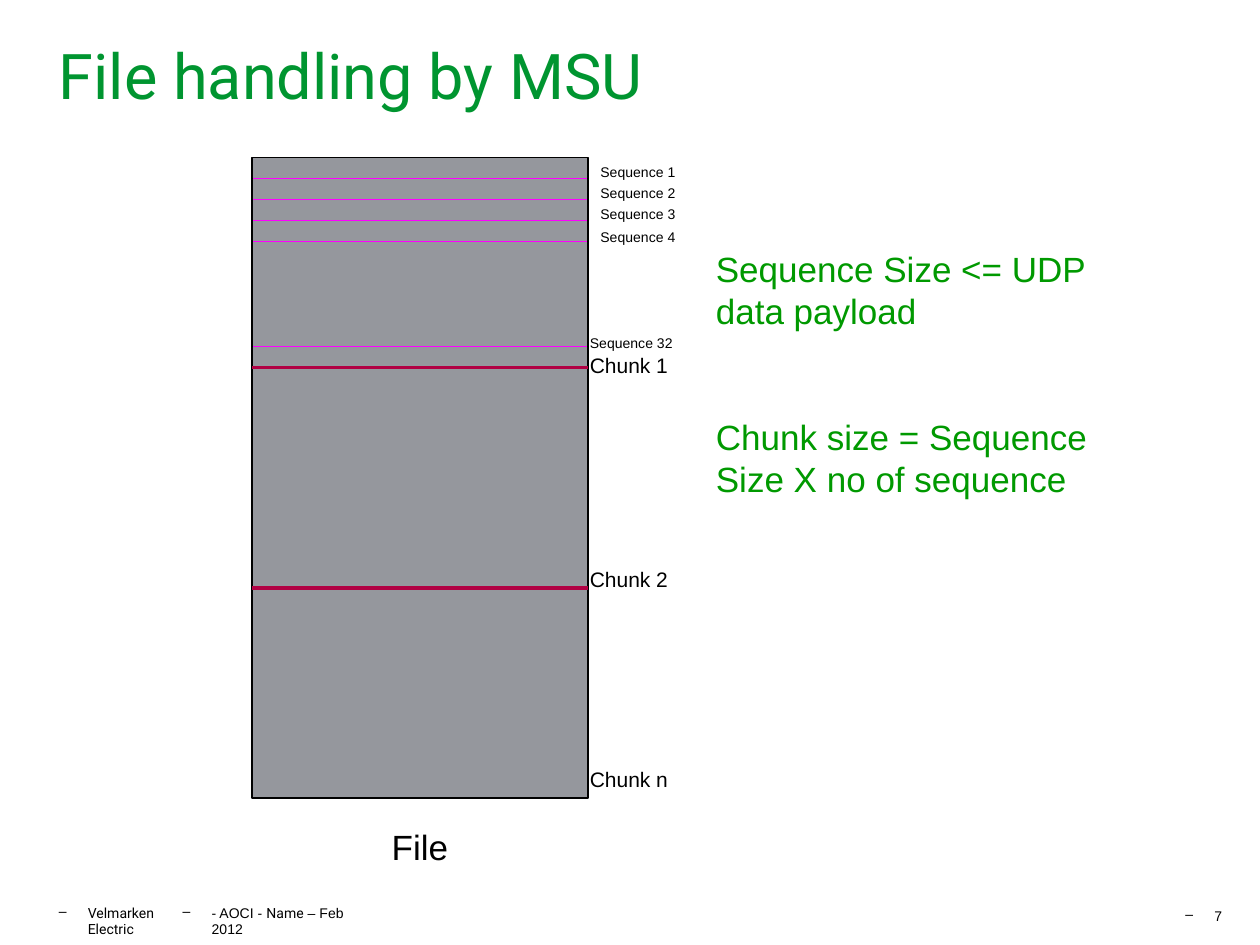
from dataclasses import dataclass
from typing import Any, Optional

import pptx
import pptx.dml.color
import pptx.enum.shapes
import pptx.enum.text
import pptx.oxml
import pptx.oxml.ns
import pptx.util
from lxml import etree

ALIGN = pptx.enum.text.PP_ALIGN
ANCHOR = pptx.enum.text.MSO_ANCHOR
CELL = 1 / 6  # inches: the slide is a grid of 60 columns by 45 rows
COLUMNS, ROWS = 60, 45


@dataclass(frozen=True)
class Theme:
    title: str = "009530"
    note: str = "009900"
    ink: str = "000000"
    file_fill: str = "95979D"
    sequence: str = "FF00FF"
    chunk: str = "B10043"
    heading_font: str = "Roboto"
    body_font: str = "Arial"
    title_size: float = 36
    note_size: float = 20
    chunk_size: float = 12
    small_size: float = 8
    frame_width: float = 0.75
    sequence_width: float = 1
    chunk_width: float = 2.25


@dataclass(frozen=True)
class Area:
    column: float
    row: float
    columns: float
    rows: float


@dataclass(frozen=True)
class Label:
    text: str
    area: Area
    size: float


@dataclass(frozen=True)
class Footer:
    runs: tuple[tuple[str, str], ...]
    area: Area


THEME = Theme()
FILE = Area(12, 7.5, 16, 30.5)
FILE_RIGHT = FILE.column + FILE.columns
FILE_BOTTOM = FILE.row + FILE.rows
SEQUENCE_ROWS = (8.5, 9.5, 10.5, 11.5, 16.5)
CHUNK_ROWS = (17.5, 28)
FRAME_ROWS = (FILE.row, 28.5, 33, FILE_BOTTOM)

LABELS = [
    Label(f"Sequence {number}", Area(FILE_RIGHT, row, 5, 1.4), THEME.small_size)
    for number, row in enumerate((7.5, 8.5, 9.5, 10.6), start=1)
] + [
    Label("Sequence 32", Area(27.5, 15.65, 5.5, 1.4), THEME.small_size),
    Label("Chunk 1", Area(27.5, 16.5, 5.5, 1.8), THEME.chunk_size),
    Label("Chunk 2", Area(27.5, 26.7, 9.5, 1.8), THEME.chunk_size),
    Label("Chunk n", Area(27.5, 36.2, 9.5, 1.8), THEME.chunk_size),
]

FOOTERS = [
    Footer((("Velmarken Electric", THEME.heading_font),), Area(2.8, 43.15, 5.95, 0.72)),
    Footer((("- AOCI - ", THEME.body_font), ("Name", THEME.heading_font),
            (" – Feb 2012", THEME.body_font)), Area(8.7, 43.15, 8.45, 0.72)),
    Footer((("7", THEME.body_font),), Area(56.45, 43.3, 1.9, 0.5)),
]


def grid(cells: float) -> int:
    return pptx.util.Inches(cells * CELL)


def rgb(color: str) -> pptx.dml.color.RGBColor:
    return pptx.dml.color.RGBColor.from_string(color)


def place(shape: Any, area: Area) -> None:
    shape.left, shape.top = grid(area.column), grid(area.row)
    shape.width, shape.height = grid(area.columns), grid(area.rows)


def add_dash(paragraph: Any) -> None:
    """Give a paragraph a hanging dash."""
    properties = paragraph._p.get_or_add_pPr()
    indent = pptx.util.Inches(0.23)
    properties.set("marL", str(indent))
    properties.set("indent", str(-indent))
    bullet = etree.SubElement(properties, pptx.oxml.ns.qn("a:buChar"))
    bullet.set("char", "–")


def write(shape: Any, paragraphs: list, *, size: float, color: str = THEME.ink,
          font: str = THEME.body_font, align: Any = ALIGN.LEFT, anchor: Any = ANCHOR.TOP,
          margins: tuple[float, float] = (0.1, 0.05), gap: float = 0,
          line_spacing: Optional[float] = None, dash: bool = False) -> None:
    """Fill a shape; each paragraph is a string or a series of (text, font) runs."""
    frame = shape.text_frame
    frame.word_wrap = True
    frame.auto_size = pptx.enum.text.MSO_AUTO_SIZE.NONE
    frame.vertical_anchor = anchor
    frame.margin_left = frame.margin_right = pptx.util.Inches(margins[0])
    frame.margin_top = frame.margin_bottom = pptx.util.Inches(margins[1])
    for index, content in enumerate(paragraphs):
        paragraph = frame.add_paragraph() if index else frame.paragraphs[0]
        if dash:
            add_dash(paragraph)
        paragraph.alignment = align
        if index:
            paragraph.space_before = pptx.util.Pt(gap)
        if line_spacing:
            paragraph.line_spacing = line_spacing
        runs = ((content, font),) if isinstance(content, str) else content
        for text, run_font in runs:
            run = paragraph.add_run()
            run.text = text
            run.font.name = run_font
            run.font.size = pptx.util.Pt(size)
            run.font.color.rgb = rgb(color)


def add_text(shapes: Any, area: Area, paragraphs: list, **style: Any) -> None:
    box = shapes.add_textbox(0, 0, 0, 0)
    place(box, area)
    write(box, paragraphs, **style)


def add_line(shapes: Any, start: tuple[float, float], end: tuple[float, float],
             color: str, width: float) -> None:
    line = shapes.add_connector(pptx.enum.shapes.MSO_CONNECTOR.STRAIGHT,
                                *map(grid, start + end))
    line.line.color.rgb = rgb(color)
    line.line.width = pptx.util.Pt(width)
    etree.SubElement(line._element.spPr, pptx.oxml.ns.qn("a:effectLst"))


def add_divider(shapes: Any, row: float, color: str, width: float) -> None:
    add_line(shapes, (FILE.column, row), (FILE_RIGHT, row), color, width)


def main() -> None:
    deck = pptx.Presentation()
    deck.slide_width, deck.slide_height = grid(COLUMNS), grid(ROWS)
    slide = deck.slides.add_slide(deck.slide_layouts.get_by_name("Title Only"))
    shapes = slide.shapes

    # Title
    place(shapes.title, Area(2.8, 0.55, 54.3, 6))
    write(shapes.title, ["File handling by MSU"], size=THEME.title_size, color=THEME.title,
          font=THEME.heading_font, anchor=ANCHOR.MIDDLE, margins=(0, 0.01))

    # Footer
    for footer in FOOTERS:
        add_text(shapes, footer.area, [footer.runs], size=THEME.small_size,
                 margins=(0, 0), line_spacing=0.93, dash=True)

    # File body
    body = shapes.add_shape(pptx.enum.shapes.MSO_SHAPE.RECTANGLE, 0, 0, 0, 0)
    place(body, FILE)
    body.shadow.inherit = False
    body.fill.solid()
    body.fill.fore_color.rgb = rgb(THEME.file_fill)
    body.line.color.rgb = rgb(THEME.ink)
    body.line.width = pptx.util.Pt(THEME.frame_width)

    # Sequence lines and the labels of all parts
    for row in SEQUENCE_ROWS:
        add_divider(shapes, row, THEME.sequence, THEME.sequence_width)
    for label in LABELS:
        add_text(shapes, label.area, [label.text], size=label.size)
    add_text(shapes, Area(FILE.column, 39, FILE.columns, 2.6), ["File"],
             size=THEME.note_size, align=ALIGN.CENTER)

    # Size rules
    add_text(shapes, Area(33.5, 11.5, 21, 12.7),
             ["Sequence Size <= UDP data payload", "Chunk size = Sequence Size X no of sequence"],
             size=THEME.note_size, color=THEME.note, gap=48)

    # Frame of the file, one segment per section
    frame = shapes.add_group_shape().shapes
    for row in (FILE.row, FILE_BOTTOM):
        add_divider(frame, row, THEME.ink, THEME.frame_width)
    for column in (FILE.column, FILE_RIGHT):
        for top, bottom in zip(FRAME_ROWS, FRAME_ROWS[1:]):
            add_line(frame, (column, top), (column, bottom), THEME.ink, THEME.frame_width)

    # Chunk lines
    for row in CHUNK_ROWS:
        add_divider(shapes, row, THEME.chunk, THEME.chunk_width)

    deck.save("out.pptx")


if __name__ == "__main__":
    main()
